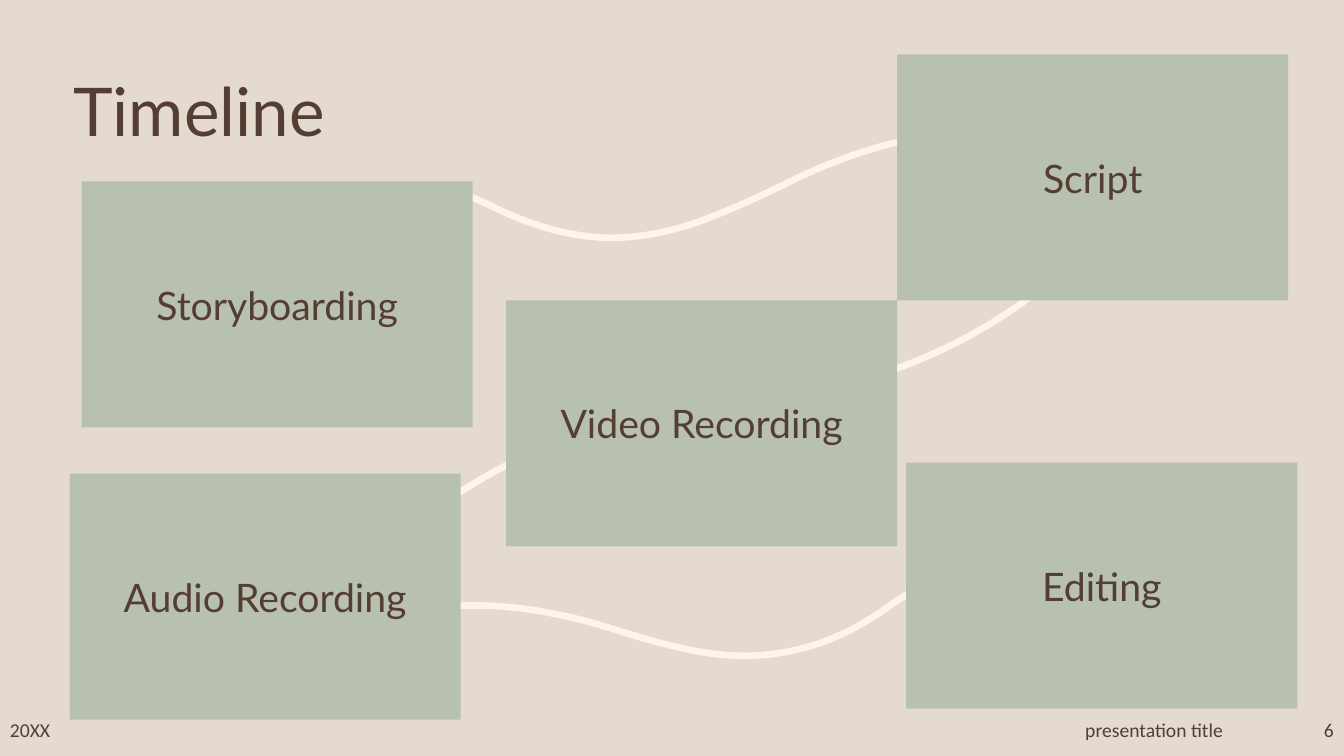
from dataclasses import dataclass
from pptx import Presentation
from pptx.dml.color import RGBColor
from pptx.enum.shapes import MSO_SHAPE
from pptx.enum.text import MSO_ANCHOR, PP_ALIGN
from pptx.shapes.autoshape import Shape
from pptx.slide import Slide
from pptx.text.text import TextFrame
from pptx.util import Inches, Pt

# Grid: columns and rows of a tenth of an inch
COLUMN = ROW = Inches(0.1)
COLUMNS, ROWS = 133.33, 75
STAGE_COLUMNS, STAGE_ROWS = 38.8, 24.4
FOOTER_TOP, FOOTER_ROWS = 70.7, 3.4
STEPS = 16  # straight pieces in each Bezier segment

COLORS = {"sand": "E5DACF", "sage": "B8C0B0", "cream": "FEF3ED", "brown": "543E34"}

Point = tuple[float, float]


@dataclass
class Stage:
    name: str
    column: float
    row: float


@dataclass
class Label:
    text: str
    column: float
    row: float
    columns: float
    rows: float
    size: int = 14
    font: str = "Calibri"
    align: PP_ALIGN = PP_ALIGN.LEFT
    spacing: float = 1.0


@dataclass
class Ribbon:
    """A start point followed by three points for each Bezier segment."""
    points: list[Point]


RIBBONS = [
    Ribbon([(83.3, 38.3), (91.3, 36.3), (98.5, 32.7), (104.7, 27.5)]),
    Ribbon([(58.4, 42.8), (50.9, 45.2), (44.5, 49), (38.9, 53.9)]),
    Ribbon([(30.7, 22.3), (35, 18.7), (39.8, 17.7), (44.9, 19),
            (46.6, 19.4), (48.1, 20.1), (49.7, 20.9),
            (53, 22.4), (56.5, 23.5), (60.4, 23.6),
            (63.7, 23.6), (67, 22.9), (70.1, 21.7),
            (73.7, 20.3), (75.7, 19.3), (77.8, 18.3),
            (80.1, 17.1), (94, 10.3), (102.7, 14.6)]),
    Ribbon([(92, 57.9), (90.4, 58.6), (89.1, 59.5), (87.7, 60.5),
            (84.8, 62.5), (81.5, 64.1), (77.8, 64.7),
            (74.6, 65.3), (71.4, 65.1), (68.1, 64.4),
            (64.5, 63.6), (62.4, 62.9), (60.2, 62.2),
            (57.8, 61.5), (43.4, 57), (34.7, 63.6)]),
]

STAGES = [
    Stage("Script", 89, 5.4),
    Stage("Storyboarding", 8.1, 18),
    Stage("Video Recording", 50.2, 29.8),
    Stage("Editing", 89.9, 45.9),
    Stage("Audio Recording", 6.9, 47),
]

LABELS = [
    Label("Timeline", 6.3, 7.7, 115, 7.4, 48, "Lato", spacing=0.9),
    Label("20XX", 0, FOOTER_TOP, 10.8, FOOTER_ROWS),
    Label("presentation title", 95.7, FOOTER_TOP, 37.6, FOOTER_ROWS, align=PP_ALIGN.CENTER),
    Label("6", 122.5, FOOTER_TOP, 10.8, FOOTER_ROWS, align=PP_ALIGN.RIGHT),
]


def color(name: str) -> RGBColor:
    return RGBColor.from_string(COLORS[name])


def across(columns: float) -> int:
    return round(columns * COLUMN)


def down(rows: float) -> int:
    return round(rows * ROW)


def bezier(a: Point, b: Point, c: Point, d: Point, t: float) -> Point:
    x, y = ((1 - t) ** 3 * p + 3 * (1 - t) ** 2 * t * q + 3 * (1 - t) * t ** 2 * r + t ** 3 * s
            for p, q, r, s in zip(a, b, c, d))
    return across(x), down(y)


def write(frame: TextFrame, text: str, size: int, font: str,
          align: PP_ALIGN, spacing: float = 1.0) -> None:
    frame.word_wrap = True
    frame.vertical_anchor = MSO_ANCHOR.MIDDLE
    para = frame.paragraphs[0]
    para.text = text
    para.alignment = align
    para.line_spacing = spacing
    para.font.size = Pt(size)
    para.font.name = font
    para.font.color.rgb = color("brown")


def draw_ribbon(page: Slide, ribbon: Ribbon) -> None:
    points = ribbon.points
    trail = [bezier(*points[start:start + 4], step / STEPS)
             for start in range(0, len(points) - 1, 3)
             for step in range(1, STEPS + 1)]
    builder = page.shapes.build_freeform(across(points[0][0]), down(points[0][1]))
    builder.add_line_segments(trail, close=False)
    curve: Shape = builder.convert_to_shape()
    curve.shadow.inherit = False
    curve.fill.background()
    curve.line.color.rgb = color("cream")
    curve.line.width = Pt(4.75)


def draw_stage(page: Slide, stage: Stage) -> None:
    box = page.shapes.add_shape(MSO_SHAPE.RECTANGLE, across(stage.column), down(stage.row),
                                across(STAGE_COLUMNS), down(STAGE_ROWS))
    box.shadow.inherit = False
    box.fill.solid()
    box.fill.fore_color.rgb = color("sage")
    box.line.fill.background()
    write(box.text_frame, stage.name, 28, "Lato", PP_ALIGN.CENTER)


def draw_label(page: Slide, label: Label) -> None:
    box = page.shapes.add_textbox(across(label.column), down(label.row),
                                  across(label.columns), down(label.rows))
    write(box.text_frame, label.text, label.size, label.font, label.align, label.spacing)


def main() -> None:
    deck = Presentation()
    deck.slide_width, deck.slide_height = across(COLUMNS), down(ROWS)
    page = deck.slides.add_slide(deck.slide_layouts[6])
    page.background.fill.solid()
    page.background.fill.fore_color.rgb = color("sand")

    # Ribbons run behind the stages
    for ribbon in RIBBONS:
        draw_ribbon(page, ribbon)
    for stage in STAGES:
        draw_stage(page, stage)
    # Title and footer
    for label in LABELS:
        draw_label(page, label)
    deck.save("out.pptx")


if __name__ == "__main__":
    main()
